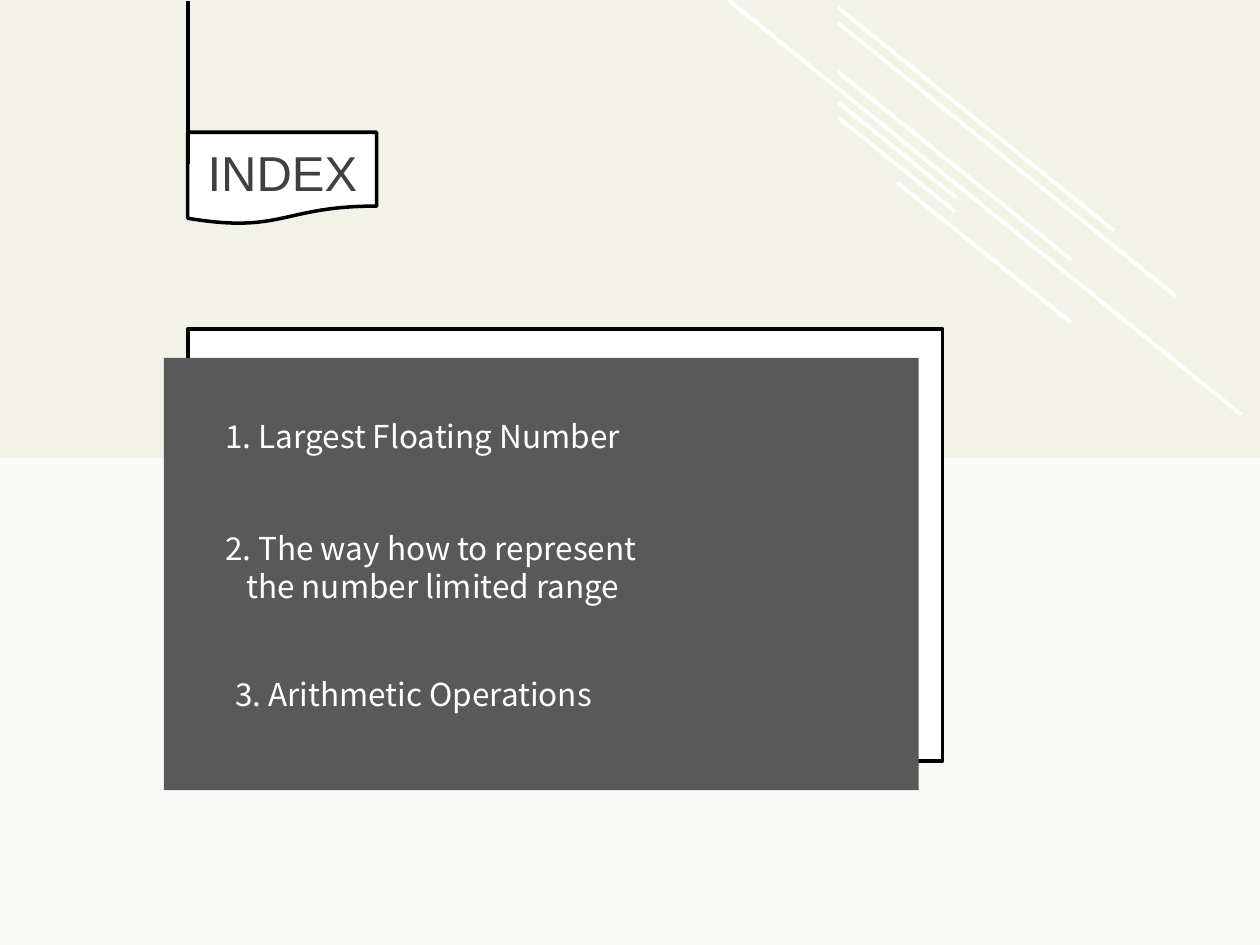
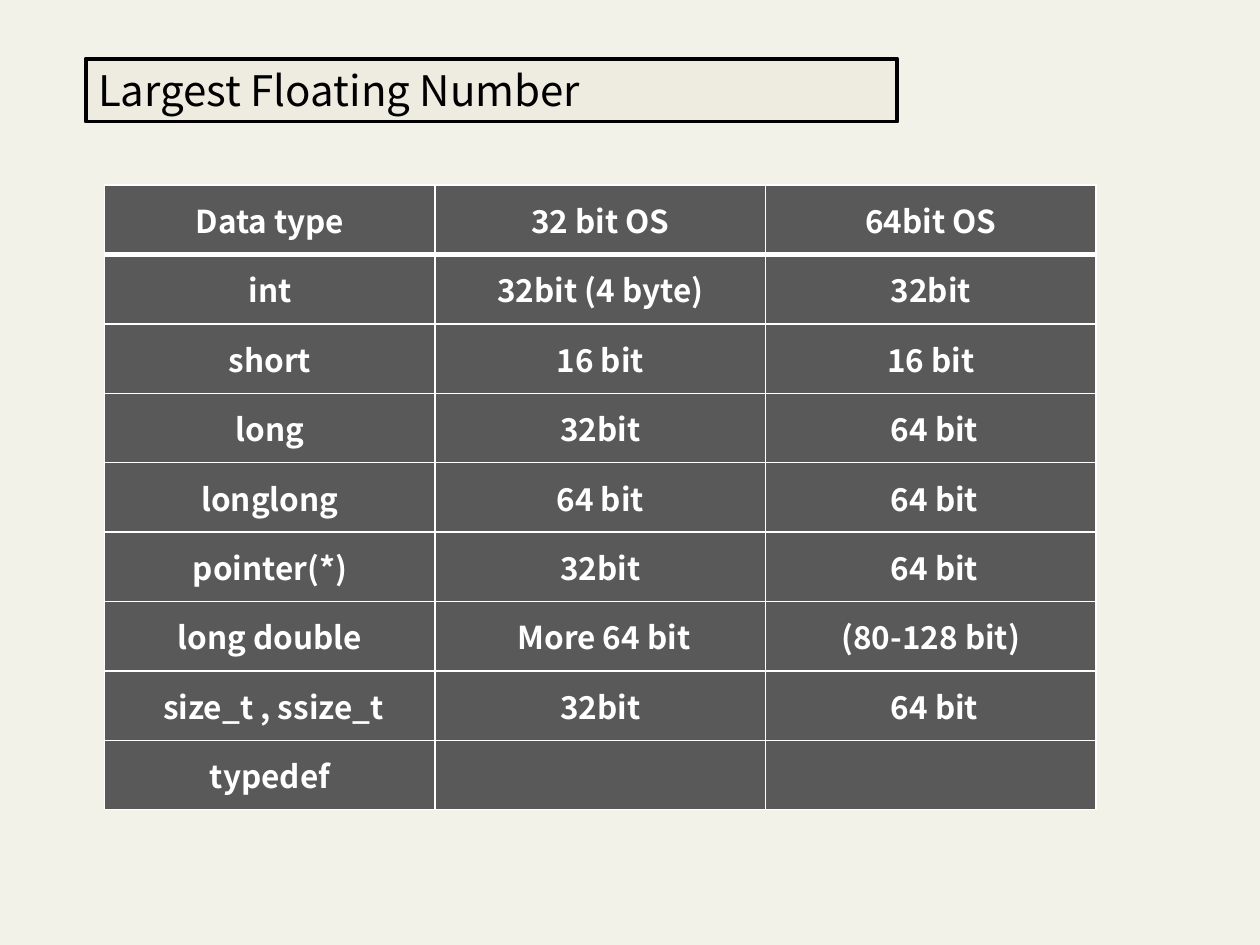
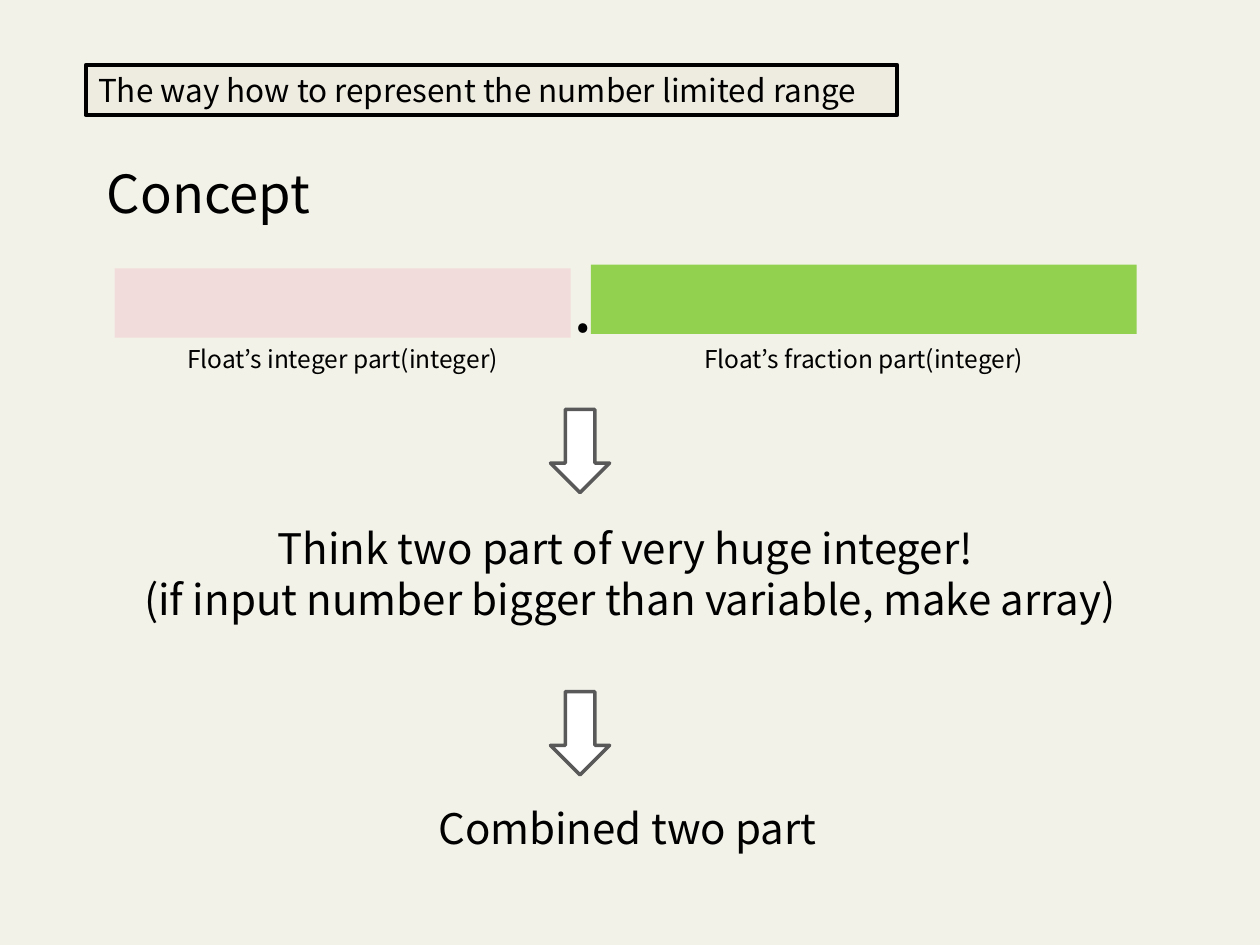
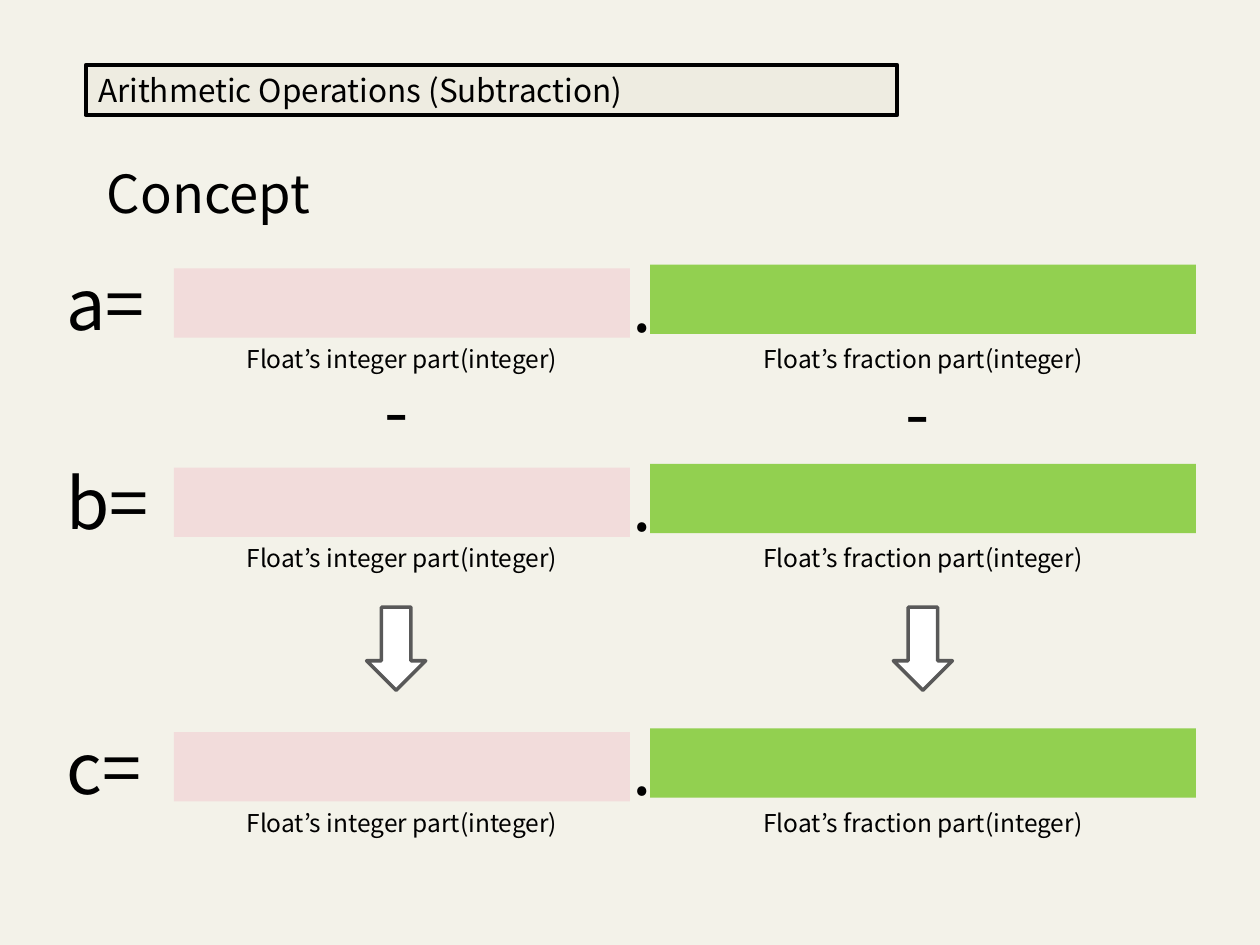
import dataclasses

import lxml.etree
import pptx
import pptx.dml.color
import pptx.enum.dml
import pptx.enum.shapes
import pptx.enum.text
import pptx.oxml
import pptx.oxml.ns
import pptx.util

Pt = pptx.util.Pt
Shape = pptx.enum.shapes.MSO_SHAPE
Align = pptx.enum.text.PP_ALIGN
Anchor = pptx.enum.text.MSO_ANCHOR


@dataclasses.dataclass(frozen=True)
class Theme:
    paper: str = "F3F2E9"
    title_fill: str = "EEECE1"
    white: str = "FFFFFF"
    black: str = "000000"
    grey: str = "595959"
    index_text: str = "404040"
    integer: str = "F2DCDB"
    fraction: str = "92D050"
    font: str = "Noto Sans CJK KR"
    index_font: str = "Arial"
    caption: int = 14
    body: int = 18
    large: int = 24
    index: int = 28
    heading: int = 30
    symbol: int = 40
    thin: float = 2
    thick: float = 2.25


def color(value):
    return pptx.dml.color.RGBColor.from_string(value)


class Builder:
    def __init__(self, theme):
        self.theme = theme
        self.deck = pptx.Presentation()
        self.deck.slide_width, self.deck.slide_height = Pt(720), Pt(540)
        self.page = None

    def new_page(self):
        self.page = self.deck.slides.add_slide(self.deck.slide_layouts[6])
        fill = self.page.background.fill
        fill.solid()
        fill.fore_color.rgb = color(self.theme.paper)

    def add_span(self, para, words, size, ink, font=None, bold=None):
        span = para.add_run()
        span.text = words
        span.font.name = font or self.theme.font
        span.font.size = Pt(size)
        span.font.bold = bold
        span.font.color.rgb = color(ink)

    def fill_frame(self, frame, lines, size, ink, align=Align.LEFT, font=None):
        frame.word_wrap = True
        frame.auto_size = pptx.enum.text.MSO_AUTO_SIZE.SHAPE_TO_FIT_TEXT
        for number, words in enumerate(lines):
            para = frame.add_paragraph() if number else frame.paragraphs[0]
            para.alignment = align
            self.add_span(para, words, size, ink, font)

    def shape(self, kind, left, top, width, height, fill, line=None, weight=None, opacity=None):
        shape = self.page.shapes.add_shape(kind, Pt(left), Pt(top), Pt(width), Pt(height))
        shape.shadow.inherit = False
        shape.fill.solid()
        shape.fill.fore_color.rgb = color(fill)
        if opacity:
            paint = shape._element.spPr.find(".//" + pptx.oxml.ns.qn("a:srgbClr"))
            alpha = lxml.etree.SubElement(paint, pptx.oxml.ns.qn("a:alpha"))
            alpha.set("val", str(opacity * 1000))
        if line:
            shape.line.color.rgb = color(line)
            shape.line.width = Pt(weight)
        else:
            shape.line.fill.background()
        return shape

    def text(self, lines, left, top, width, height, size, ink=None, align=Align.LEFT, font=None):
        box = self.page.shapes.add_textbox(Pt(left), Pt(top), Pt(width), Pt(height))
        self.fill_frame(box.text_frame, lines, size, ink or self.theme.black, align, font)
        return box

    def line(self, start, end, ink):
        connector = self.page.shapes.add_connector(
            pptx.enum.shapes.MSO_CONNECTOR.STRAIGHT, *(Pt(value) for value in start + end))
        connector.line.color.rgb = color(ink)
        connector.line.width = Pt(self.theme.thick)
        properties = connector._element.spPr
        lxml.etree.SubElement(properties, pptx.oxml.ns.qn("a:effectLst"))

    def title(self, words, size, height):
        theme = self.theme
        box = self.shape(Shape.RECTANGLE, 49, 51.5 - height / 2, 463.7, height,
                         theme.title_fill, theme.black, theme.thick)
        box.text_frame.vertical_anchor = Anchor.MIDDLE
        self.fill_frame(box.text_frame, [words], size, theme.black)

    def concept_heading(self):
        self.text(["Concept"], 54, 88.6, 130.3, 43.9, self.theme.heading)

    def arrow(self, left, top):
        self.shape(Shape.DOWN_ARROW, left, top, 33.8, 47.5,
                   self.theme.white, self.theme.grey, self.theme.thin)

    def symbol(self, words, left, top, width):
        self.text([words], left, top, width, 55.4, self.theme.symbol)

    def float_number(self, left, top, label=None):
        theme = self.theme
        parts = (
            ("integer", theme.integer, left, top + 2.2, 260.6),
            ("fraction", theme.fraction, left + 272.2, top, 311.8),
        )
        for name, fill, part_left, part_top, width in parts:
            self.shape(Shape.RECTANGLE, part_left, part_top, width, 39.6, fill)
            self.text([f"Float’s {name} part(integer)"], part_left, top + 41.8,
                      width, 24.5, theme.caption, align=Align.CENTER)
        self.symbol(".", left + 254.9, top - 5, 136)
        if label:
            self.symbol(label, 31, top - 5.8, 67.7)

    def cell_borders(self, cell, bottom):
        properties = cell._tc.get_or_add_tcPr()
        for side, weight in (("L", 1), ("R", 1), ("T", 1), ("B", bottom)):
            border = lxml.etree.SubElement(properties, pptx.oxml.ns.qn("a:ln" + side))
            border.set("w", str(Pt(weight)))
            fill = lxml.etree.SubElement(border, pptx.oxml.ns.qn("a:solidFill"))
            paint = lxml.etree.SubElement(fill, pptx.oxml.ns.qn("a:srgbClr"))
            paint.set("val", self.theme.white)

    def table(self, rows, left, top, width, height):
        theme = self.theme
        frame = self.page.shapes.add_table(
            len(rows), len(rows[0]), Pt(left), Pt(top), Pt(width), Pt(height))
        for row_number, row in enumerate(rows):
            for column_number, words in enumerate(row):
                cell = frame.table.cell(row_number, column_number)
                self.cell_borders(cell, 1 if row_number else 3)
                cell.fill.solid()
                cell.fill.fore_color.rgb = color(theme.grey)
                cell.vertical_anchor = Anchor.MIDDLE
                para = cell.text_frame.paragraphs[0]
                para.alignment = Align.CENTER
                if words:
                    self.add_span(para, words, theme.body, theme.white, bold=True)


def index_page(builder):
    theme = builder.theme
    builder.new_page()
    builder.shape(Shape.RECTANGLE, 0, 261.4, 720, 278.6, theme.white, opacity=62)
    builder.shape(Shape.RECTANGLE, 107.3, 187.9, 431.3, 247, theme.white, theme.black, theme.thin)
    builder.shape(Shape.RECTANGLE, 93.6, 204.5, 431.3, 247, theme.grey)
    builder.shape(Shape.FLOWCHART_DOCUMENT, 107.3, 75.6, 108, 52.6,
                  theme.white, theme.black, theme.thin)
    builder.text(["1. Largest Floating Number"], 121.7, 234.7, 351.4, 28.8, theme.body, theme.white)
    second = builder.text(["2. The way how to represent", "the number limited range"],
                          121.7, 298.8, 419.8, 51.1, theme.body, theme.white)
    second.text_frame.paragraphs[1]._p.get_or_add_pPr().set("marL", str(Pt(12)))
    builder.text(["3. Arithmetic Operations"], 127.4, 382.3, 272.2, 28.8, theme.body, theme.white)
    builder.text(["INDEX"], 111.6, 77.8, 129.6, 41, theme.index, theme.index_text,
                 font=theme.index_font)
    rays = (
        ((478.8, 4.3), (636.5, 131.8)),
        ((478.8, 13), (671.8, 169.2)),
        ((478.8, 41), (612, 148.3)),
        ((416.2, 0), (709.2, 236.9)),
        ((478.8, 58.3), (546.5, 113)),
        ((478.8, 67), (545.8, 121)),
        ((512.6, 104.4), (612, 184.3)),
    )
    for start, end in rays:
        builder.line(start, end, theme.white)
    builder.line((107.3, 0.7), (107.3, 93.6), theme.black)


def data_types_page(builder):
    builder.new_page()
    builder.title("Largest Floating Number", builder.theme.large, 36)
    area = (59.8, 105.8, 566.6, 357.1)
    builder.shape(Shape.RECTANGLE, *area, builder.theme.grey)
    builder.table((
        ("Data type", "32 bit OS", "64bit OS"),
        ("int", "32bit (4 byte)", "32bit"),
        ("short", "16 bit", "16 bit"),
        ("long", "32bit", " 64 bit"),
        ("longlong", "64 bit", " 64 bit"),
        ("pointer(*)", "32bit", " 64 bit"),
        ("long double", " More 64 bit", "(80-128 bit)"),
        (" size_t , ssize_t", "32bit", " 64 bit"),
        ("typedef", "", ""),
    ), *area)


def concept_page(builder):
    large = builder.theme.large
    builder.new_page()
    builder.title("The way how to represent the number limited range", builder.theme.body, 28.8)
    builder.concept_heading()
    builder.float_number(65.5, 151.2)
    builder.text(["Think two part of very huge integer! ",
                  "(if input number bigger than variable, make array)"],
                 0, 295.2, 720, 65.5, large, align=Align.CENTER)
    for top in (234, 395.3):
        builder.arrow(314.6, top)
    builder.text(["Combined two part"], -2.9, 455, 722.9, 36, large, align=Align.CENTER)


def subtraction_page(builder):
    builder.new_page()
    builder.title("Arithmetic Operations (Subtraction)", builder.theme.body, 28.8)
    builder.concept_heading()
    for label, top in (("a=", 151.2), ("b=", 265), ("c=", 416.2)):
        builder.float_number(99.4, top, label)
    for left in (209.5, 510.5):
        builder.arrow(left, 347)
    for left, top in ((212.4, 206.6), (510.5, 207.4)):
        builder.symbol("-", left, top, 39.6)


def main():
    builder = Builder(Theme())
    index_page(builder)
    data_types_page(builder)
    concept_page(builder)
    subtraction_page(builder)
    builder.deck.save("out.pptx")


if __name__ == "__main__":
    main()
